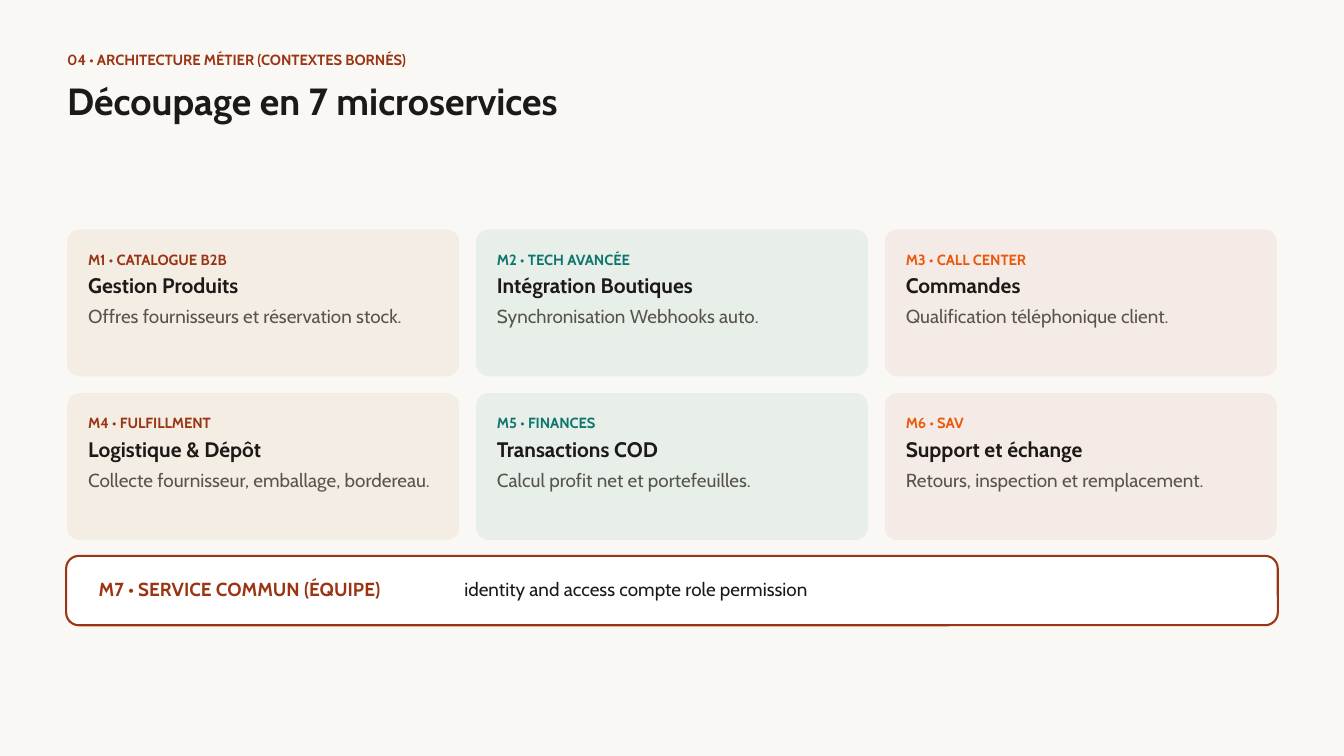
from pptx import Presentation
from pptx.dml.color import RGBColor
from pptx.enum.shapes import MSO_SHAPE as Shape
from pptx.enum.text import MSO_ANCHOR as Anchor, MSO_AUTO_SIZE as AutoSize, PP_ALIGN as Align
from pptx.util import Pt

PAPER = RGBColor(0xFA, 0xF8, 0xF5)
WHITE = RGBColor(0xFF, 0xFF, 0xFF)
INK = RGBColor(0x1C, 0x19, 0x17)
GREY = RGBColor(0x57, 0x53, 0x4E)
RUST = RGBColor(0x9A, 0x34, 0x12)
TEAL = RGBColor(0x0F, 0x76, 0x6E)
ORANGE = RGBColor(0xEA, 0x58, 0x0C)
SAND = RGBColor(0xF3, 0xED, 0xE4)
MINT = RGBColor(0xE8, 0xEF, 0xE9)
BLUSH = RGBColor(0xF5, 0xEB, 0xE6)

MARGIN, CONTENT_W = 72, 1296
GRID_TOP, CARD_W, CARD_H, GAP = 245.7, 420, 157.5, 18
PADDING, CARD_TEXT_W = 22.5, 386

COLUMN_COLORS = [(SAND, RUST), (MINT, TEAL), (BLUSH, ORANGE)]
SERVICES = [
    ("M1 • CATALOGUE B2B", "Gestion Produits", "Offres fournisseurs et réservation stock."),
    ("M2 • TECH AVANCÉE", "Intégration Boutiques", "Synchronisation Webhooks auto."),
    ("M3 • CALL CENTER", "Commandes", "Qualification téléphonique client."),
    ("M4 • FULFILLMENT", "Logistique & Dépôt", "Collecte fournisseur, emballage, bordereau."),
    ("M5 • FINANCES", "Transactions COD", "Calcul profit net et portefeuilles."),
    ("M6 • SAV", "Support et échange", "Retours, inspection et remplacement."),
]


class Deck:
    font = "Cabin"
    label_size, body_size, heading_size, title_size = 15.75, 20.25, 22.5, 40.5
    leading = 1.2
    radius = 13.5

    def __init__(self, slide):
        self.slide = slide
        fill = slide.background.fill
        fill.solid()
        fill.fore_color.rgb = PAPER

    def set_line(self, sp, text, size, color, bold):
        """Fill a text shape with one left-aligned line, without insets."""
        tf = sp.text_frame
        tf.text = text
        tf.word_wrap = True
        tf.auto_size = AutoSize.NONE
        tf.vertical_anchor = Anchor.TOP
        tf.margin_left = tf.margin_right = tf.margin_top = tf.margin_bottom = 0
        p = tf.paragraphs[0]
        p.alignment = Align.LEFT
        p.space_before = Pt(0)
        p.line_spacing = Pt(size * self.leading)
        font = p.runs[0].font
        font.name, font.size, font.bold = self.font, Pt(size), bold
        font.color.rgb = color

    def title(self, text, x, y, w):
        sp = self.slide.shapes.title
        sp.left, sp.top, sp.width, sp.height = Pt(x), Pt(y), Pt(w), Pt(52.5)
        self.set_line(sp, text, self.title_size, INK, True)

    def text(self, text, x, y, w, size, color, bold=False):
        sp = self.slide.shapes.add_textbox(Pt(x), Pt(y), Pt(w), Pt(size * self.leading))
        self.set_line(sp, text, size, color, bold)

    def panel(self, x, y, w, h, fill, line=None):
        sp = self.slide.shapes.add_shape(Shape.ROUNDED_RECTANGLE, Pt(x), Pt(y), Pt(w), Pt(h))
        sp.adjustments[0] = self.radius / min(w, h)
        sp.shadow.inherit = False
        sp.fill.solid()
        sp.fill.fore_color.rgb = fill
        if line is None:
            sp.line.fill.background()
        else:
            sp.line.color.rgb = line
            sp.line.width = Pt(2.25)

    def card(self, x, y, service, fill, accent):
        label, heading, detail = service
        left = x + PADDING
        self.panel(x, y, CARD_W, CARD_H, fill)
        self.text(label, left, y + 22.6, CARD_TEXT_W, self.label_size, accent, True)
        self.text(heading, left, y + 46.6, CARD_TEXT_W, self.heading_size, INK, True)
        self.text(detail, left, y + 81.2, CARD_TEXT_W, self.body_size, GREY)


def main():
    prs = Presentation()
    prs.slide_width, prs.slide_height = Pt(1440), Pt(810)
    deck = Deck(prs.slides.add_slide(prs.slide_layouts[5]))

    deck.text("04 • ARCHITECTURE MÉTIER (CONTEXTES BORNÉS)", MARGIN, 54, CONTENT_W,
              deck.label_size, RUST, True)
    deck.title("Découpage en 7 microservices", MARGIN, 83.5, CONTENT_W)

    deck.panel(70.9, 595.6, 1298.2, 74.3, WHITE, RUST)
    deck.text("M7 • SERVICE COMMUN (ÉQUIPE)", 105.8, 619.2, 380, deck.body_size, RUST, True)
    deck.text("identity and access compte role permission", 497.5, 619.2, 850, deck.body_size, INK)

    for i, service in enumerate(SERVICES):
        row, col = divmod(i, len(COLUMN_COLORS))
        deck.card(MARGIN + col * (CARD_W + GAP), GRID_TOP + row * (CARD_H + GAP),
                  service, *COLUMN_COLORS[col])

    prs.save("out.pptx")


if __name__ == "__main__":
    main()
